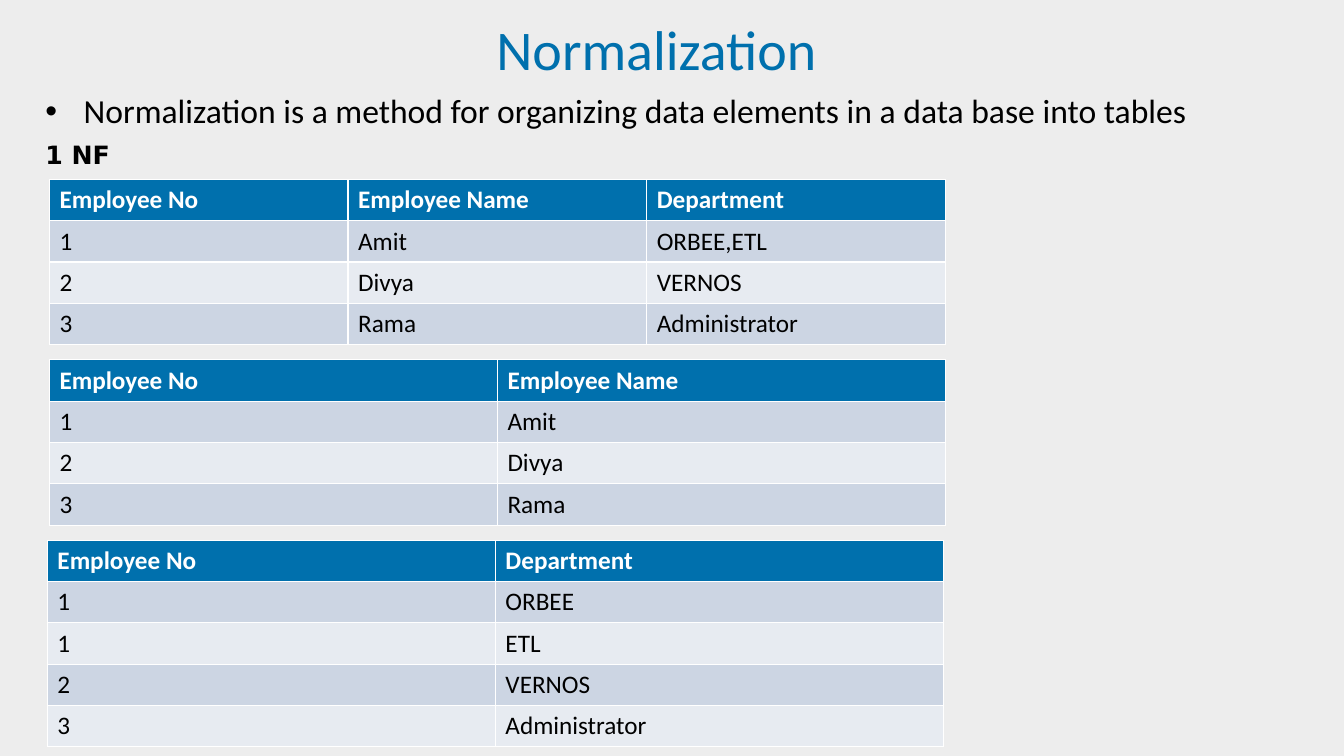
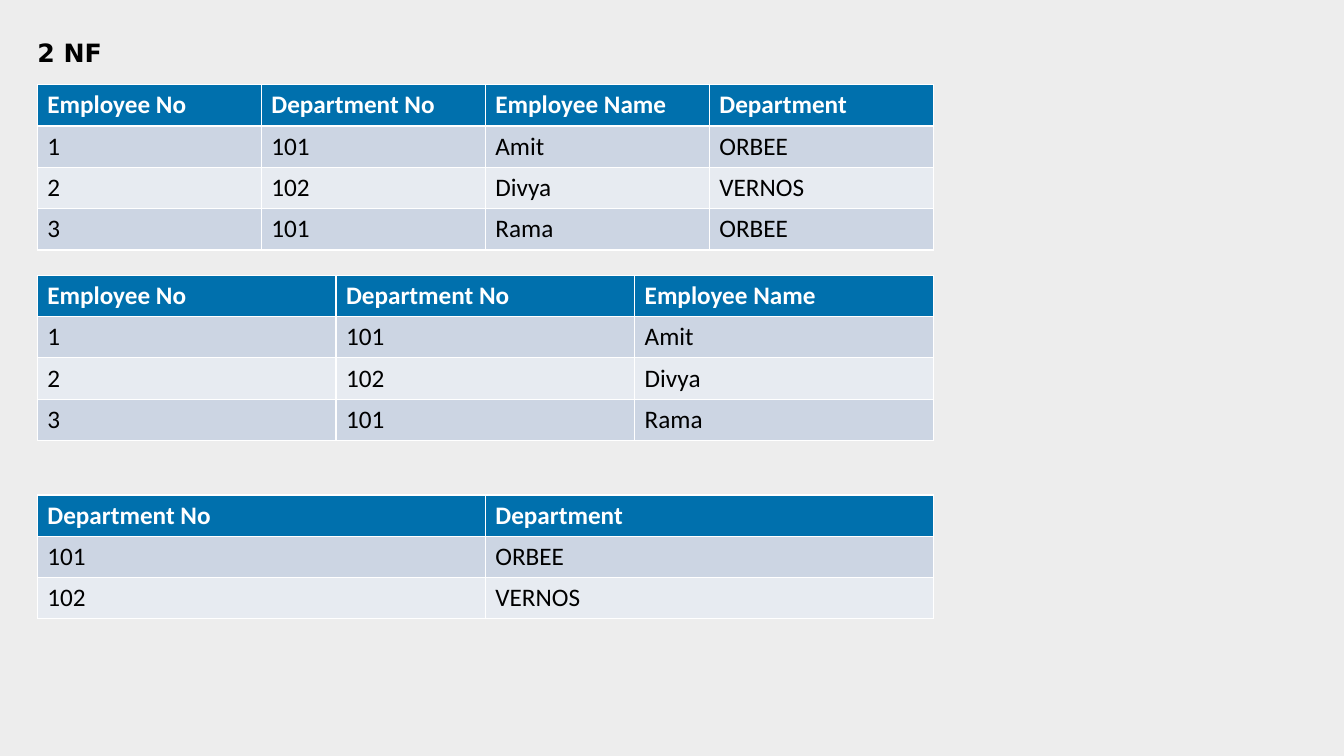
from dataclasses import dataclass
from typing import Optional

import pptx
import pptx.dml.color
import pptx.enum.text
import pptx.oxml.ns
import pptx.util
from lxml import etree

Inches = pptx.util.Inches
Pt = pptx.util.Pt
RGB = pptx.dml.color.RGBColor
Anchor = pptx.enum.text.MSO_ANCHOR

# Shared look
BLUE = RGB(0x00, 0x70, 0xAD)
PAPER = RGB(0xED, 0xED, 0xED)
DARK = RGB(0xCC, 0xD5, 0xE3)
LIGHT = RGB(0xE7, 0xEB, 0xF1)
WHITE = RGB(0xFF, 0xFF, 0xFF)
BLACK = RGB(0x00, 0x00, 0x00)
FONT, HEAVY = "Calibri", "DejaVu Sans"

WIDE, HIGH = Inches(13.33), Inches(7.5)
SPAN = WIDE * 2 // 3  # every table takes two thirds of the slide
ROW = Inches(0.41)


@dataclass
class Box:
    left: float
    top: float
    width: float
    height: float


@dataclass
class Line:
    text: str
    bullet: bool = False


@dataclass
class Grid:
    left: float
    top: float
    rows: list[str]  # cells are split at "|"; the first row is the header


@dataclass
class Page:
    title: Optional[str]
    area: Box
    lines: list[Line]
    grids: list[Grid]


TITLE = Box(0.45, 0.21, 12.12, 0.61)

PAGES = [
    Page(
        "Normalization",
        Box(0.45, 0.99, 12.51, 6.4),
        [
            Line("Normalization is a method for organizing data elements"
                 " in a data base into tables", bullet=True),
            Line("1 NF"),
        ],
        [
            Grid(0.49, 1.78, ["Employee No|Employee Name|Department",
                              "1|Amit|ORBEE,ETL",
                              "2|Divya|VERNOS",
                              "3|Rama|Administrator"]),
            Grid(0.49, 3.57, ["Employee No|Employee Name",
                              "1|Amit", "2|Divya", "3|Rama"]),
            Grid(0.47, 5.36, ["Employee No|Department",
                              "1|ORBEE", "1|ETL", "2|VERNOS",
                              "3|Administrator"]),
        ],
    ),
    Page(
        None,
        Box(0.37, 0.36, 12.52, 5.94),
        [Line("2 NF")],
        [
            Grid(0.37, 0.84,
                 ["Employee No|Department No|Employee Name|Department",
                  "1|101|Amit|ORBEE",
                  "2|102|Divya|VERNOS",
                  "3|101|Rama|ORBEE"]),
            Grid(0.37, 2.73, ["Employee No|Department No|Employee Name",
                              "1|101|Amit", "2|102|Divya", "3|101|Rama"]),
            Grid(0.37, 4.91, ["Department No|Department",
                              "101|ORBEE", "102|VERNOS"]),
        ],
    ),
]


def style(para, size: int, color: RGB, name: str = FONT,
          bold: bool = False) -> None:
    font = para.font
    font.size, font.name, font.bold = Pt(size), name, bold
    font.color.rgb = color


def place(shape, box: Box, anchor: Anchor):
    """Move a placeholder, clear its insets and return its text frame."""
    shape.left, shape.top = Inches(box.left), Inches(box.top)
    shape.width, shape.height = Inches(box.width), Inches(box.height)
    frame = shape.text_frame
    frame.margin_left = frame.margin_right = 0
    frame.margin_top = frame.margin_bottom = 0
    frame.word_wrap = True
    frame.auto_size = pptx.enum.text.MSO_AUTO_SIZE.NONE
    frame.vertical_anchor = anchor
    return frame


def mark(para, bullet: bool) -> None:
    """Give the paragraph a hanging bullet, or none."""
    props = para._p.get_or_add_pPr()
    hang = Inches(0.38) if bullet else 0
    props.set("marL", str(hang))
    props.set("indent", str(-hang))
    tag = "a:buChar" if bullet else "a:buNone"
    item = etree.SubElement(props, pptx.oxml.ns.qn(tag))
    if bullet:
        item.set("char", "•")


def head(slide, text: Optional[str]) -> None:
    shape = slide.shapes.title
    if text is None:
        shape.element.getparent().remove(shape.element)
        return
    para = place(shape, TITLE, Anchor.MIDDLE).paragraphs[0]
    para.text = text
    para.alignment = pptx.enum.text.PP_ALIGN.CENTER
    para.line_spacing = 0.9
    style(para, 40, BLUE)


def body(slide, page: Page) -> None:
    frame = place(slide.placeholders[1], page.area, Anchor.TOP)
    for i, line in enumerate(page.lines):
        para = frame.add_paragraph() if i else frame.paragraphs[0]
        para.text = line.text
        mark(para, line.bullet)
        para.line_spacing = Pt(22)
        para.space_before, para.space_after = Pt(0), Pt(6)
        if line.bullet:
            style(para, 24, BLACK)
        else:
            style(para, 18, BLACK, HEAVY, bold=True)


def table(slide, grid: Grid) -> None:
    # The default table style draws the white rules
    rows = [row.split("|") for row in grid.rows]
    count, cols = len(rows), len(rows[0])
    sheet = slide.shapes.add_table(
        count, cols, Inches(grid.left), Inches(grid.top),
        SPAN, ROW * count).table
    for r, row in enumerate(rows):
        top = r == 0
        fill = BLUE if top else DARK if r % 2 else LIGHT
        for c, text in enumerate(row):
            cell = sheet.cell(r, c)
            cell.text = text
            cell.vertical_anchor = Anchor.MIDDLE
            cell.fill.solid()
            cell.fill.fore_color.rgb = fill
            style(cell.text_frame.paragraphs[0], 18,
                  WHITE if top else BLACK, bold=top)


def main() -> None:
    deck = pptx.Presentation()
    deck.slide_width, deck.slide_height = WIDE, HIGH
    back = deck.slide_master.background.fill
    back.solid()
    back.fore_color.rgb = PAPER
    for page in PAGES:
        slide = deck.slides.add_slide(deck.slide_layouts[1])
        head(slide, page.title)
        body(slide, page)
        for grid in page.grids:
            table(slide, grid)
    deck.save("out.pptx")


if __name__ == "__main__":
    main()
